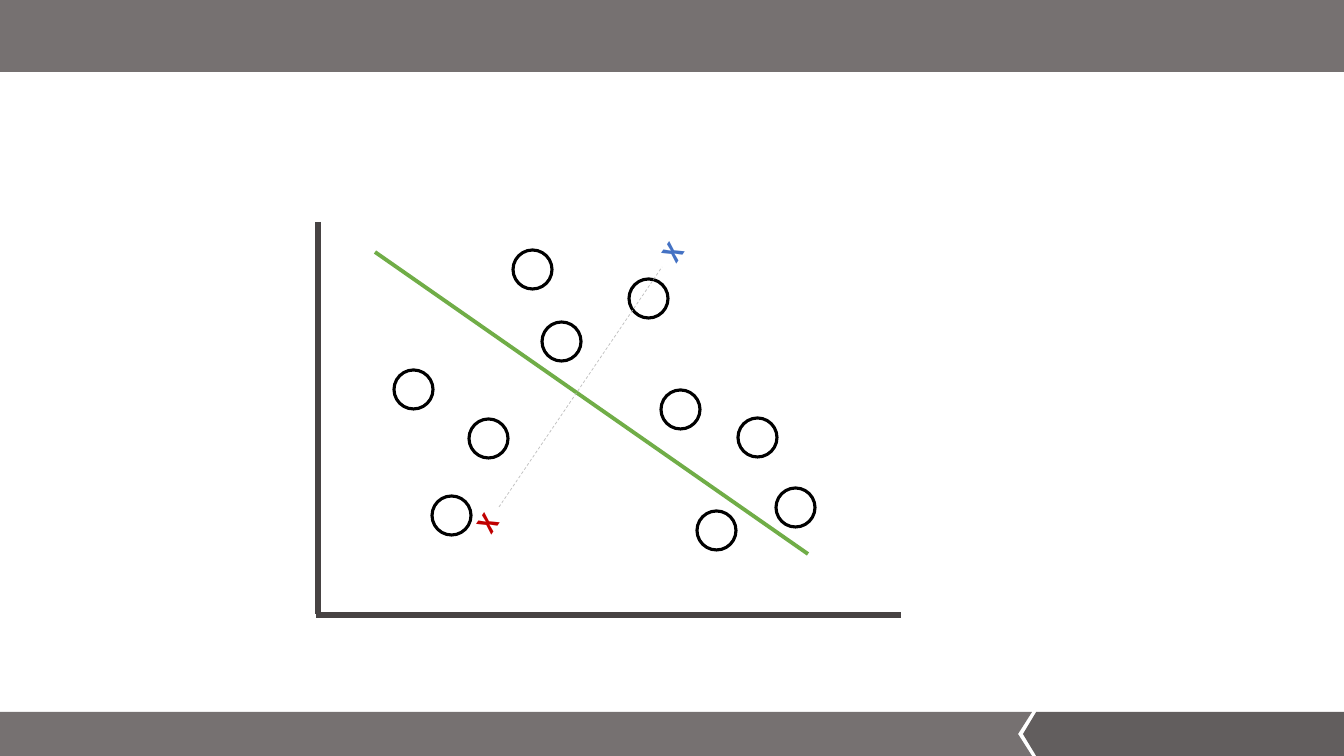
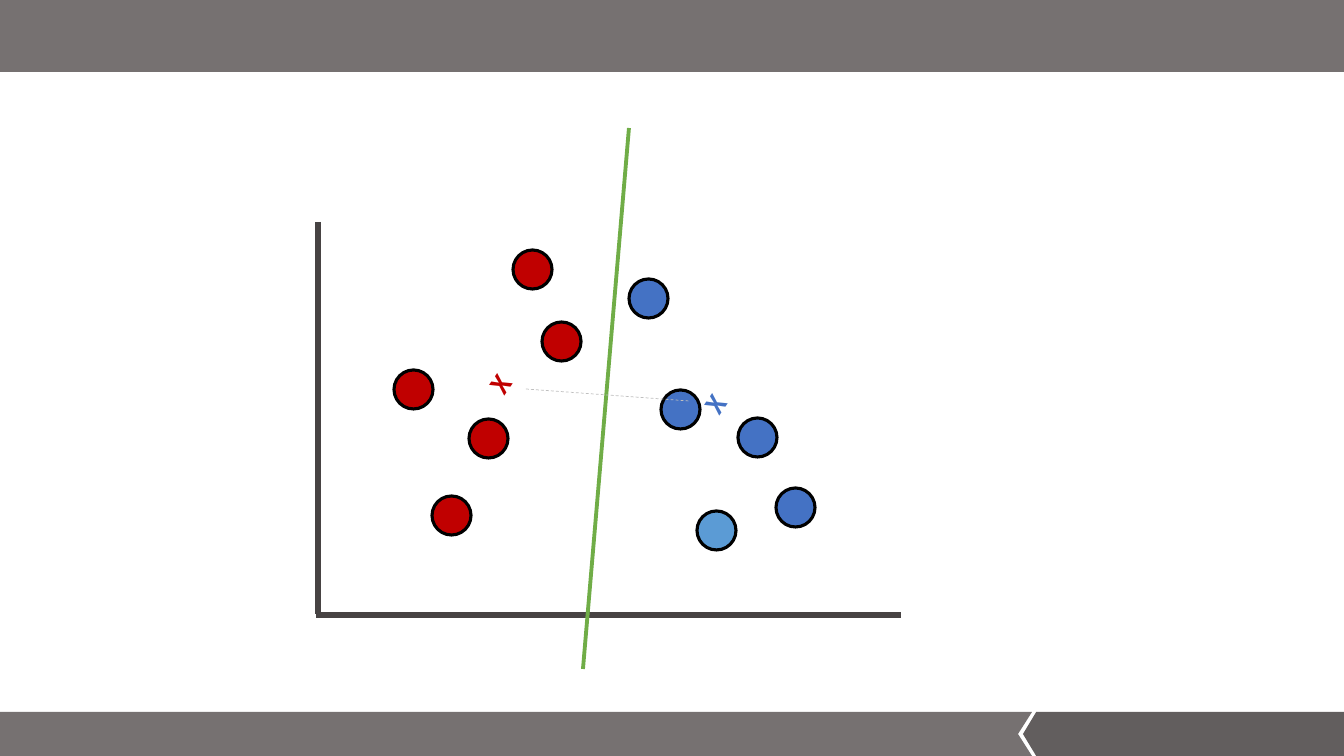
import pptx
import pptx.dml.color
import pptx.enum.dml
import pptx.enum.shapes
import pptx.enum.text
import pptx.oxml.ns
import pptx.util
from dataclasses import dataclass
from lxml import etree

W, H = 1344, 756
PX = 12192000 / W
SHAPE = pptx.enum.shapes.MSO_SHAPE
DASH = pptx.enum.dml.MSO_LINE.DASH


@dataclass(frozen=True)
class Theme:
    band: str = "767171"
    tab: str = "625E5E"
    axis: str = "474343"
    outline: str = "000000"
    empty: str = "FFFFFF"
    red: str = "C00000"
    blue: str = "4472C4"
    light_blue: str = "5B9BD5"
    boundary: str = "70AD47"
    link: str = "BFBFBF"
    font: str = "Noto Sans CJK KR"
    mark_size: int = 18


T = Theme()


def rgb(code):
    return pptx.dml.color.RGBColor.from_string(code)


def px(*lengths):
    return [pptx.util.Emu(round(n * PX)) for n in lengths]


BAND_H = 72
FOOT_Y, NOTCH_X, NOTCH_W = 712, 1018, 14
TAB_X = 1023
DOT = 39
MARK_W, MARK_H = 37, 40

# Left and top of each data point
DOTS = [(513, 250), (394, 370), (469, 419), (542, 322), (738, 418),
        (432, 496), (697, 511), (629, 279), (776, 488), (661, 390)]

# Each line: start x, start y, end x, end y
AXES = [(318, 222, 318, 614), (316, 615, 901, 615)]

# Marks give the centre of each cluster centroid
STEPS = [
    {"fills": [T.empty] * len(DOTS),
     "marks": [(488, 523, T.red), (673, 252, T.blue)],
     "boundary": (375, 252, 808, 554),
     "link": (499, 507, 662, 267)},
    {"fills": [T.red] * 4 + [T.blue, T.red, T.light_blue] + [T.blue] * 3,
     "marks": [(501, 384, T.red), (716, 404, T.blue)],
     "boundary": (629, 128, 583, 669),
     "link": (526, 389, 689, 401)},
]

prs = pptx.Presentation()
prs.slide_width, prs.slide_height = px(W, H)

for step in STEPS:
    s = prs.slides.add_slide(prs.slide_layouts[6])

    # Header and footer bands
    footer = s.shapes.build_freeform(0, FOOT_Y, scale=PX)
    notch_right = NOTCH_X + NOTCH_W
    footer.add_line_segments([(notch_right, FOOT_Y), (NOTCH_X, (FOOT_Y + H) // 2),
                              (notch_right, H), (0, H)])
    band = footer.convert_to_shape()
    tab = s.shapes.add_shape(SHAPE.PENTAGON, *px(TAB_X, FOOT_Y, W - TAB_X, H - FOOT_Y))
    tab.rotation = 180
    tab.adjustments[0] = 0.3
    header = s.shapes.add_shape(SHAPE.RECTANGLE, *px(0, 0, W, BAND_H))
    for sp, color in [(band, T.band), (tab, T.tab), (header, T.band)]:
        sp.shadow.inherit = False
        sp.fill.solid()
        sp.fill.fore_color.rgb = rgb(color)
        sp.line.fill.background()

    # Data points
    for (x, y), color in zip(DOTS, step["fills"]):
        sp = s.shapes.add_shape(SHAPE.OVAL, *px(x, y, DOT, DOT))
        sp.shadow.inherit = False
        sp.fill.solid()
        sp.fill.fore_color.rgb = rgb(color)
        sp.line.color.rgb = rgb(T.outline)
        sp.line.width = pptx.util.Pt(2.25)

    # Centroids
    for cx, cy, color in step["marks"]:
        sp = s.shapes.add_textbox(*px(cx - MARK_W / 2, cy - MARK_H / 2, MARK_W, MARK_H))
        sp.rotation = 304.5
        tf = sp.text_frame
        tf.word_wrap = False
        tf.auto_size = pptx.enum.text.MSO_AUTO_SIZE.SHAPE_TO_FIT_TEXT
        r = tf.paragraphs[0].add_run()
        r.text = "X"
        r.font.color.rgb = rgb(color)
        style = {"name": T.font, "size": pptx.util.Pt(T.mark_size), "bold": True}
        for key, value in style.items():
            setattr(r.font, key, value)

    # Axes, cluster boundary and the link between centroids
    lines = [(axis, T.axis, {"width": pptx.util.Pt(3.75)}) for axis in AXES]
    lines += [
        (step["boundary"], T.boundary, {"width": pptx.util.Pt(2.75)}),
        (step["link"], T.link, {"width": pptx.util.Pt(0.5), "dash_style": DASH}),
    ]
    for ends, color, style in lines:
        ln = s.shapes.add_connector(pptx.enum.shapes.MSO_CONNECTOR.STRAIGHT, *px(*ends))
        ln.line.color.rgb = rgb(color)
        for key, value in style.items():
            setattr(ln.line, key, value)
        etree.SubElement(ln.element.spPr, pptx.oxml.ns.qn("a:effectLst"))

prs.save("out.pptx")
